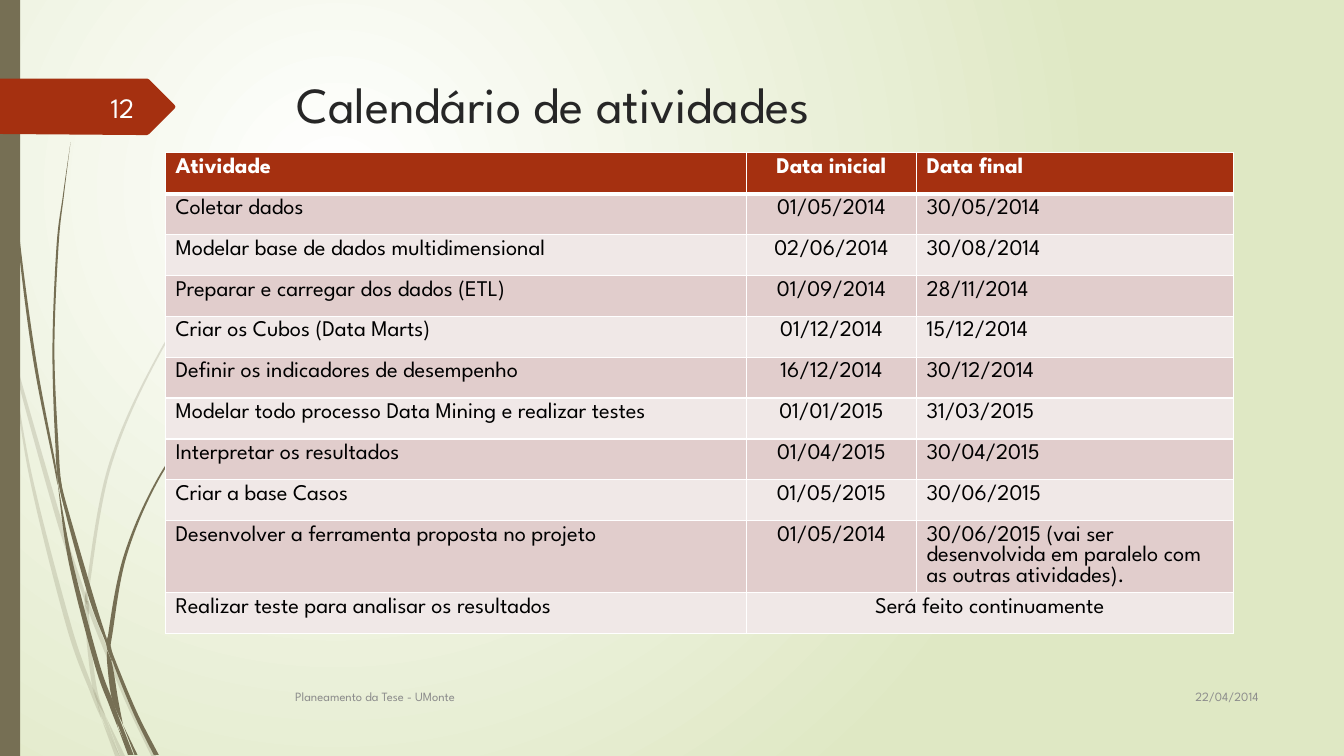
from lxml import etree
from pptx import Presentation
from pptx.dml.color import RGBColor
from pptx.enum.shapes import MSO_SHAPE
from pptx.enum.text import MSO_ANCHOR, PP_ALIGN
from pptx.oxml.ns import qn
from pptx.util import Cm, Pt

LEFT, CENTER, RIGHT = PP_ALIGN.LEFT, PP_ALIGN.CENTER, PP_ALIGN.RIGHT
TOP, MIDDLE = MSO_ANCHOR.TOP, MSO_ANCHOR.MIDDLE
BAR = MSO_SHAPE.RECTANGLE
FONT = "League Spartan"
COLORS = {
    "white": "FFFFFF", "green": "DFE8C4", "olive": "766F54", "red": "A53010",
    "title": "262626", "black": "000000", "gray": "8C8C8C", "number": "FEFFFF",
    "odd": "E1CDCC", "even": "F0E8E7",
}
CM_PER_INCH = 2.54

ACTIVITIES = [
    ("Atividade", "Data inicial", "Data final"),
    ("Coletar dados", "01/05/2014", "30/05/2014"),
    ("Modelar base de dados multidimensional", "02/06/2014", "30/08/2014"),
    ("Preparar e carregar dos dados (ETL)", "01/09/2014", "28/11/2014"),
    ("Criar os Cubos (Data Marts)", "01/12/2014", "15/12/2014"),
    ("Definir os indicadores de desempenho", "16/12/2014", "30/12/2014"),
    ("Modelar todo processo Data Mining e realizar testes", "01/01/2015", "31/03/2015"),
    ("Interpretar os resultados", "01/04/2015", "30/04/2015"),
    ("Criar a base Casos", "01/05/2015", "30/06/2015"),
    ("Desenvolver a ferramenta proposta no projeto", "01/05/2014",
     "30/06/2015 (vai ser desenvolvida em paralelo com as outras atividades)."),
    ("Realizar teste para analisar os resultados", "Será feito continuamente"),
]
TABLE_LEFT, TABLE_TOP = Cm(4.17), Cm(3.85)
COLUMN_WIDTHS = (Cm(14.63), Cm(4.29), Cm(7.98))
COLUMN_ALIGNS = (LEFT, CENTER, LEFT)
ROW_HEIGHT, TALL_ROW, TALL_HEIGHT = Cm(1.03), 9, Cm(1.81)

TEXTS = [
    ("Calendário de atividades", (2.84, 0.68, 9.75, 1.4), 36, "title", LEFT, TOP),
    ("22/04/2014", (11.33, 6.7, 1.25, 0.41), 9, "gray", RIGHT, MIDDLE),
    ("Planeamento da Tese - UMonte", (2.83, 6.71, 8.33, 0.4), 9, "gray", LEFT, MIDDLE),
    ("12", (0.58, 0.86, 0.85, 0.4), 20, "number", RIGHT, MIDDLE),
]
BAR_PLACE = (0, 0, 0.2, 7.5)
ARROW = [(0, 0.78), (1.46, 0.78), (1.48, 0.79), (1.73, 1.04), (1.74, 1.06),
         (1.73, 1.08), (1.48, 1.33), (1.46, 1.34), (1.36, 1.34), (0, 1.33)]
PALE_STEMS = [
    [(0, 2.9, 0.04), (0.08, 3.25, 0.03), (0.11, 3.5, 0)],
    [(0.14, 3.45, 0), (0.16, 3.65, 0.03), (0.6, 5.21, 0.05), (0.84, 5.92, 0.03), (0.84, 5.99, 0)],
    [(0.88, 5.96, 0), (0.9, 6.07, 0.04), (1.25, 6.93, 0.04), (1.53, 7.51, 0.05)],
    [(1.05, 7.11, 0), (1.22, 7.51, 0.05)],
    [(0.11, 3.5, 0), (0.3, 4.7, 0.03), (0.68, 6.2, 0.05), (0.92, 6.88, 0.04), (1.01, 7.14, 0)],
    [(0.84, 5.99, 0), (0.86, 6.08, 0.04), (0.89, 6.46, 0.04), (0.95, 6.87, 0.04), (1.05, 7.11, 0)],
    [(3.12, 1.53, 0), (2.68, 1.98, 0.01), (2.28, 2.45, 0.02), (1.59, 3.49, 0.02),
     (1.09, 4.62, 0.03), (0.87, 5.84, 0.03), (0.88, 5.96, 0)],
    [(1.01, 7.14, 0), (1.17, 7.51, 0.05)],
    [(0.85, 5.86, 0), (0.86, 5.98, 0.04), (0.88, 6.1, 0)],
    [(0.93, 6.83, 0), (0.97, 6.95, 0.02), (1.03, 7.12, 0.04), (1.19, 7.51, 0)],
]
DARK_STEMS = [
    [(0.03, 0, 0.01), (0.07, 1.1, 0.01), (0.18, 2.33, 0.02), (0.34, 3.55, 0.03),
     (0.54, 4.6, 0.02), (0.57, 4.81, 0)],
    [(0.6, 4.72, 0), (0.63, 4.95, 0.03), (0.9, 5.91, 0.05), (1.06, 6.38, 0.02), (1.06, 6.45, 0)],
    [(1.1, 6.41, 0), (1.12, 6.53, 0.03), (1.34, 7.07, 0.04), (1.55, 7.49, 0.05)],
    [(0.57, 4.77, 0), (0.7, 5.57, 0.04), (0.96, 6.58, 0.05), (1.11, 7, 0.05), (1.17, 7.22, 0)],
    [(0.7, 1.41, 0), (0.63, 1.93, 0.01), (0.57, 2.45, 0.02), (0.53, 3.49, 0.02),
     (0.57, 4.51, 0.03), (0.6, 4.72, 0)],
    [(1.22, 7.19, 0), (1.35, 7.49, 0.03)],
    [(0.55, 4.49, 0), (0.59, 4.77, 0.03), (0.64, 5.05, 0)],
    [(2.61, 3.44, 0), (2.31, 3.74, 0.01), (2.05, 4.06, 0.02), (1.57, 4.75, 0.02),
     (1.24, 5.52, 0.03), (1.09, 6.32, 0.04), (1.1, 6.41, 0)],
    [(1.17, 7.22, 0), (1.29, 7.49, 0.04)],
    [(1.06, 6.45, 0), (1.09, 6.6, 0.05), (1.14, 6.93, 0.06), (1.22, 7.19, 0)],
    [(1.06, 6.31, 0), (1.08, 6.42, 0.04), (1.11, 6.56, 0)],
    [(1.1, 6.91, 0), (1.15, 7.08, 0.03), (1.2, 7.22, 0.04), (1.31, 7.49, 0.03)],
]


def length(inches):
    return Cm(inches * CM_PER_INCH)


def color(name):
    return RGBColor.from_string(COLORS[name])


def add_child(parent, tag, **values):
    return etree.SubElement(parent, qn(tag), values)


def paint(shape, name):
    shape.shadow.inherit = False
    shape.fill.solid()
    shape.fill.fore_color.rgb = color(name)
    shape.line.fill.background()


def write(frame, text, size, name, align, bold=False):
    para = frame.paragraphs[0]
    para.alignment = align
    span = para.add_run()
    span.text = text
    formats = {"name": FONT, "size": Pt(size), "bold": bold}
    for key, value in formats.items():
        setattr(span.font, key, value)
    span.font.color.rgb = color(name)


def paint_background(page):
    fill = page.background.fill
    fill.gradient()
    for stop, name, position in zip(fill.gradient_stops, ("white", "green"), (0, 1)):
        stop.color.rgb = color(name)
        stop.position = position
    gradient = page.element.find(".//" + qn("a:gradFill"))
    gradient.remove(gradient.find(qn("a:lin")))
    circle = add_child(gradient, "a:path", path="circle")
    add_child(circle, "a:fillToRect", l="50000", t="50000", r="100000", b="100000")


def add_outline(page, points, name):
    corners = [(length(x), length(y)) for x, y in points]
    builder = page.shapes.build_freeform(*corners[0], scale=1.0)
    builder.add_line_segments(corners[1:], close=True)
    outline = builder.convert_to_shape()
    paint(outline, name)
    return outline


def bend(side):
    padded = [side[0], *side, side[-1]]
    controls = []
    for a, b, c, d in zip(padded, padded[1:], padded[2:], padded[3:]):
        controls.append([q + (r - p) / 6 for p, q, r in zip(a, b, c)])
        controls.append([r - (s - q) / 6 for q, r, s in zip(b, c, d)])
        controls.append(c)
    return controls


def add_stem(page, points, alpha):
    left = [(x - width / 2, y) for x, y, width in points]
    right = [(x + width / 2, y) for x, y, width in reversed(points)]
    base = [left[-1], right[0], right[0]]
    stem = add_outline(page, [left[0], *bend(left), *base, *bend(right)], "olive")
    lines = list(stem.element.iter(qn("a:lnTo")))
    for start in range(0, len(lines) - 2, 3):
        curve = etree.Element(qn("a:cubicBezTo"))
        lines[start].addprevious(curve)
        for line in lines[start:start + 3]:
            curve.append(line[0])
            line.getparent().remove(line)
    if alpha < 100:
        tone = stem.element.spPr.find(".//" + qn("a:srgbClr"))
        add_child(tone, "a:alpha", val=str(alpha * 1000))


def add_borders(cell, bottom):
    properties = cell._tc.get_or_add_tcPr()
    widths = {"a:lnL": 1, "a:lnR": 1, "a:lnT": 1, "a:lnB": bottom}
    for index, (tag, width) in enumerate(widths.items()):
        line = etree.Element(qn(tag), w=str(Pt(width)))
        add_child(add_child(line, "a:solidFill"), "a:srgbClr", val=COLORS["white"])
        properties.insert(index, line)


def add_calendar(page):
    heights = [ROW_HEIGHT] * len(ACTIVITIES)
    heights[TALL_ROW] = TALL_HEIGHT
    table = page.shapes.add_table(len(ACTIVITIES), len(COLUMN_WIDTHS), TABLE_LEFT, TABLE_TOP,
                                  sum(COLUMN_WIDTHS), sum(heights)).table
    for column, width in zip(table.columns, COLUMN_WIDTHS):
        column.width = width
    for row, height in zip(table.rows, heights):
        row.height = height
    last = len(ACTIVITIES) - 1
    table.cell(last, 1).merge(table.cell(last, 2))
    for i, row in enumerate(table.rows):
        header = i == 0
        background = "red" if header else "odd" if i % 2 else "even"
        for cell in row.cells:
            cell.fill.solid()
            cell.fill.fore_color.rgb = color(background)
            add_borders(cell, 3 if header else 1)
        for cell, text, align in zip(row.cells, ACTIVITIES[i], COLUMN_ALIGNS):
            write(cell.text_frame, text, 16, "white" if header else "black", align, header)


def main():
    deck = Presentation()
    deck.slide_width, deck.slide_height = length(13.33), length(7.5)
    page = deck.slides.add_slide(deck.slide_layouts[6])
    paint_background(page)
    for stems, alpha in ((PALE_STEMS, 20), (DARK_STEMS, 100)):
        for points in stems:
            add_stem(page, points, alpha)
    paint(page.shapes.add_shape(BAR, *map(length, BAR_PLACE)), "olive")
    add_outline(page, ARROW, "red")
    add_calendar(page)
    for text, place, size, name, align, anchor in TEXTS:
        frame = page.shapes.add_textbox(*map(length, place)).text_frame
        formats = {"word_wrap": True, "vertical_anchor": anchor}
        for key, value in formats.items():
            setattr(frame, key, value)
        write(frame, text, size, name, align)
    deck.save("out.pptx")


if __name__ == "__main__":
    main()
